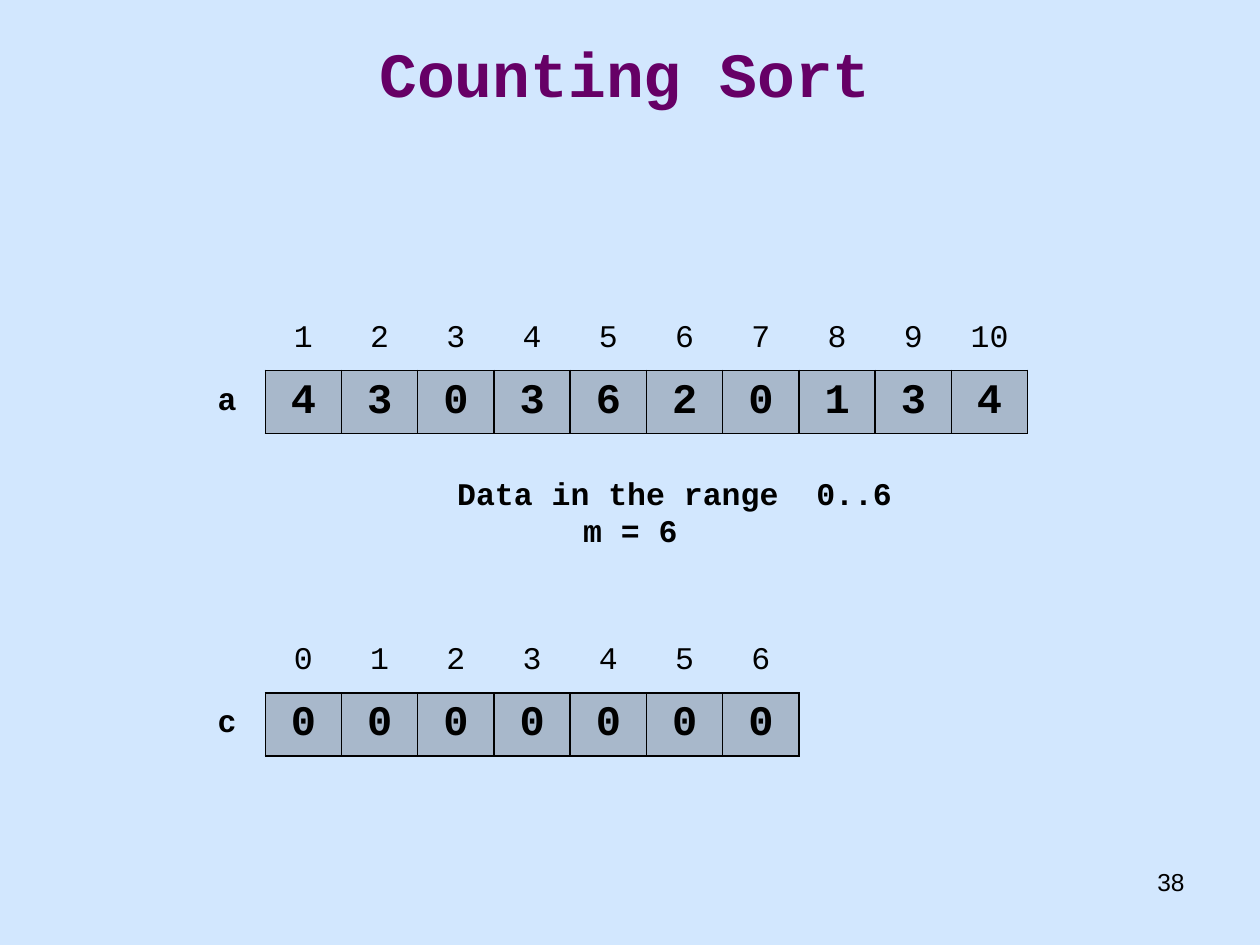
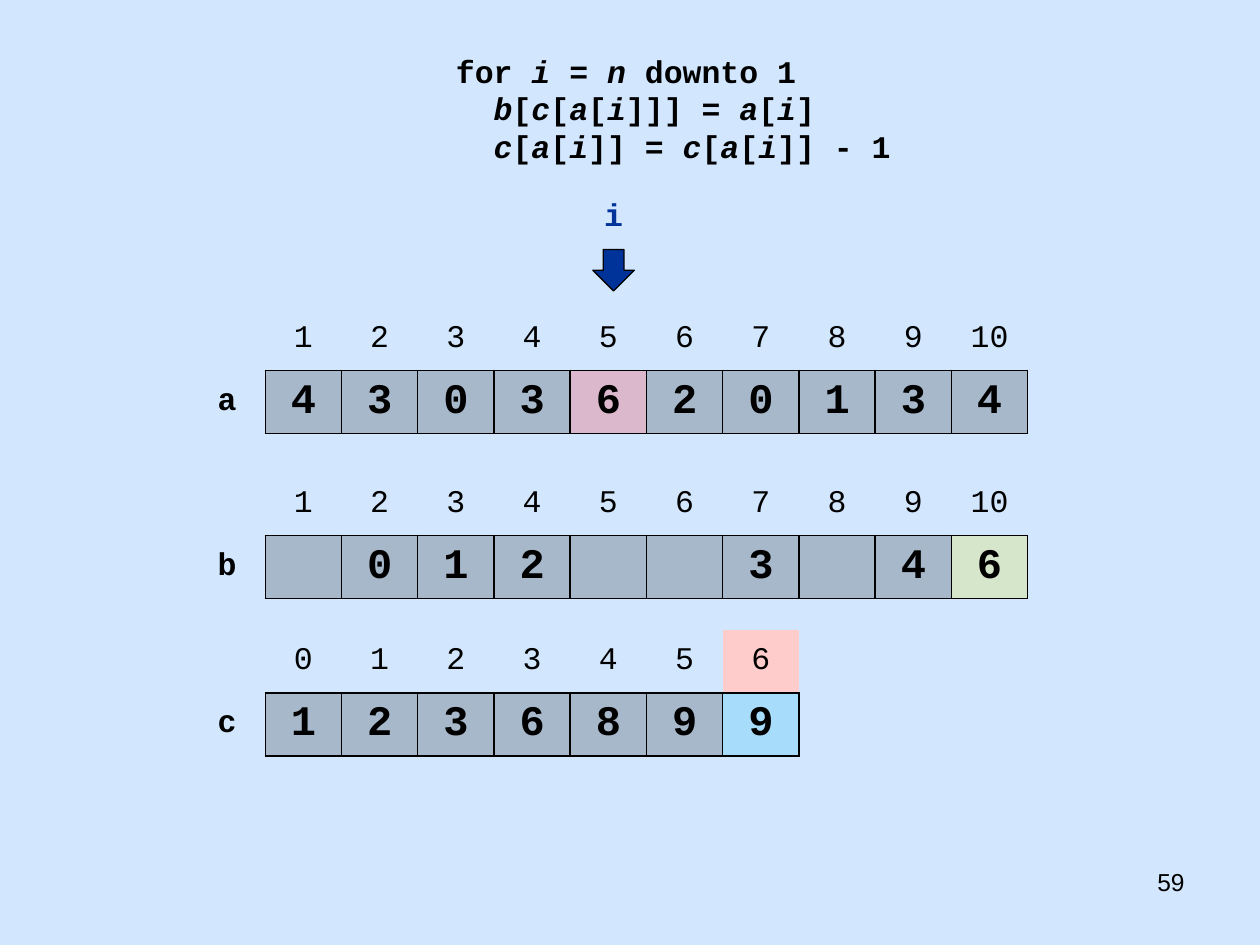
from lxml.etree import SubElement
from pptx import Presentation
from pptx.dml.color import RGBColor
from pptx.enum.shapes import MSO_SHAPE as Shape
from pptx.enum.text import MSO_ANCHOR as Anchor, PP_ALIGN as Align
from pptx.oxml import parse_xml
from pptx.oxml.ns import nsdecls, qn
from pptx.util import Inches, Pt

SKY = RGBColor(0xD2, 0xE7, 0xFE)
PURPLE = RGBColor(0x66, 0x00, 0x66)
NAVY = RGBColor(0x00, 0x33, 0x99)
BLACK = RGBColor(0x00, 0x00, 0x00)
RED = RGBColor(0xFF, 0x00, 0x00)
YELLOW = RGBColor(0xE5, 0xE5, 0x00)
BLUE = RGBColor(0x00, 0xB0, 0xF0)
PINK = RGBColor(0xFF, 0xCC, 0xCC)

MONO, SANS = "Courier New", "Arial"
WIDTH, HEIGHT = 10, 7.5
ARRAY_LEFT = 1.5
COLUMN = 6.66 / 11
ROW = 0.5
A_TOP, B_TOP, C_TOP = 2.44, 3.75, 5
POINTER_CENTER = 4.87
TINT = 20

A_VALUES = list("4303620134")
CODE = """ for *i* = *n* downto 1
   *b*[*c*[*a*[*i*]]] = *a*[*i*]
   *c*[*a*[*i*]] = *c*[*a*[*i*]] - 1"""


def write(frame, text, size=18, font=MONO, color=BLACK, bold=False,
          align=Align.LEFT, spacing=None):
    """Fill a frame, one paragraph a line; *stars* enclose italics."""
    for number, line in enumerate(text.split("\n")):
        para = frame.paragraphs[0] if number == 0 else frame.add_paragraph()
        para.alignment = align
        para.line_spacing = spacing
        for part, words in enumerate(line.split("*")):
            if not words:
                continue
            span = para.add_run()
            span.text = words
            span.font.name = font
            span.font.size = Pt(size)
            span.font.bold = bold
            span.font.italic = part % 2 == 1
            span.font.color.rgb = color


def add_text(page, place, text, anchor=Anchor.TOP, **style):
    box = page.shapes.add_textbox(*map(Inches, place))
    box.text_frame.word_wrap = True
    box.text_frame.vertical_anchor = anchor
    write(box.text_frame, text, **style)
    return box


def set_borders(cell, black_sides):
    """Draw the named sides (of "LRTB") in black and clear the others."""
    for position, side in enumerate("LRTB"):
        paint = ('<a:solidFill><a:srgbClr val="000000"/></a:solidFill>'
                 if side in black_sides else "<a:noFill/>")
        line = parse_xml(f'<a:ln{side} {nsdecls("a")} w="12700">{paint}</a:ln{side}>')
        cell._tc.get_or_add_tcPr().insert(position, line)


def fill_cell(cell, color, opacity=100):
    cell.fill.solid()
    cell.fill.fore_color.rgb = color
    if opacity < 100:
        fill = cell._tc.tcPr.find(qn("a:solidFill"))
        SubElement(fill.find(qn("a:srgbClr")), qn("a:alpha"), val=str(opacity * 1000))


def add_array(page, name, top, values, first=1, tints=None, marked_index=None):
    """Draw a named array under its indices; tints maps an index to a colour."""
    tints = tints or {}
    columns = len(values) + 1
    table = page.shapes.add_table(
        2, columns, Inches(ARRAY_LEFT), Inches(top),
        Inches(columns * COLUMN), Inches(2 * ROW)).table
    table.first_row = table.horz_banding = False
    for column in table.columns:
        column.width = Inches(COLUMN)

    def put(row, column, text, borders, **style):
        cell = table.cell(row, column)
        cell.vertical_anchor = Anchor.MIDDLE
        write(cell.text_frame, text, align=Align.CENTER, **style)
        cell.fill.background()
        set_borders(cell, borders)
        return cell

    put(0, 0, "", "")
    put(1, 0, name, "R", bold=True)
    for column, value in enumerate(values, start=1):
        index = first + column - 1
        heading = put(0, column, str(index), "B")
        if index == marked_index:
            fill_cell(heading, PINK)
        cell = put(1, column, value, "LRTB", size=24, bold=True)
        fill_cell(cell, tints.get(index, BLACK), TINT)


def add_page(deck, number):
    page = deck.slides.add_slide(deck.slide_layouts[6])
    page.background.fill.solid()
    page.background.fill.fore_color.rgb = SKY
    add_text(page, (7.17, 6.83, 2.33, 0.52), str(number),
             size=14, font=SANS, align=Align.RIGHT)
    return page


def add_pointer(page, label):
    width, side = 2.08, 0.33
    add_text(page, (POINTER_CENTER - width / 2, 0.2 * HEIGHT, width, 0.4), label,
             color=NAVY, bold=True, align=Align.CENTER)
    arrow = page.shapes.add_shape(
        Shape.DOWN_ARROW, Inches(POINTER_CENTER - side / 2), Inches(1.98),
        Inches(side), Inches(side))
    arrow.shadow.inherit = False
    arrow.fill.solid()
    arrow.fill.fore_color.rgb = NAVY
    arrow.line.color.rgb = BLACK
    arrow.line.width = Pt(0.75)


def build_start(deck):
    page = add_page(deck, 38)
    add_text(page, (0.67, 0.4, 8.58, 0.5), "Counting Sort", anchor=Anchor.MIDDLE,
             size=36, color=PURPLE, bold=True, align=Align.CENTER, spacing=0.7)
    add_array(page, "a", A_TOP, A_VALUES)
    note = add_text(page, (3.53, 3.71, 3.67, 0.71),
                    "Data in the range  0..6\nm = 6", bold=True)
    limit = note.text_frame.paragraphs[1]
    limit._p.get_or_add_pPr().set("marL", str(Inches(1)))
    add_array(page, "c", C_TOP, ["0"] * 7, first=0)


def build_placing_step(deck):
    page = add_page(deck, 59)
    add_array(page, "a", A_TOP, A_VALUES, tints={5: RED})
    add_array(page, "c", C_TOP, list("1236899"), first=0,
              tints={6: BLUE}, marked_index=6)
    add_text(page, (3.37, 0.36, 4, 1.01), CODE, bold=True)
    add_array(page, "b", B_TOP, ["", "0", "1", "2", "", "", "3", "", "4", "6"],
              tints={10: YELLOW})
    add_pointer(page, "i")


def main():
    deck = Presentation()
    deck.slide_width, deck.slide_height = Inches(WIDTH), Inches(HEIGHT)
    build_start(deck)
    build_placing_step(deck)
    deck.save("out.pptx")


if __name__ == "__main__":
    main()
